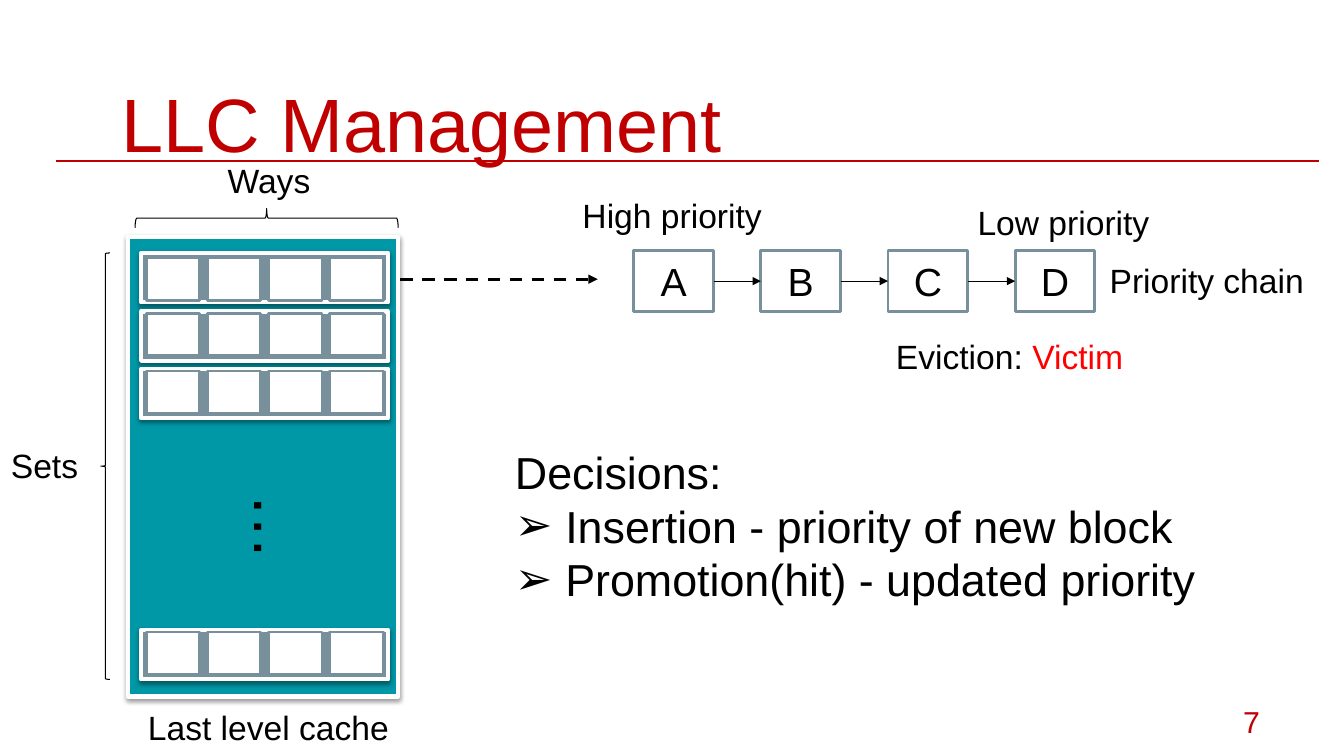
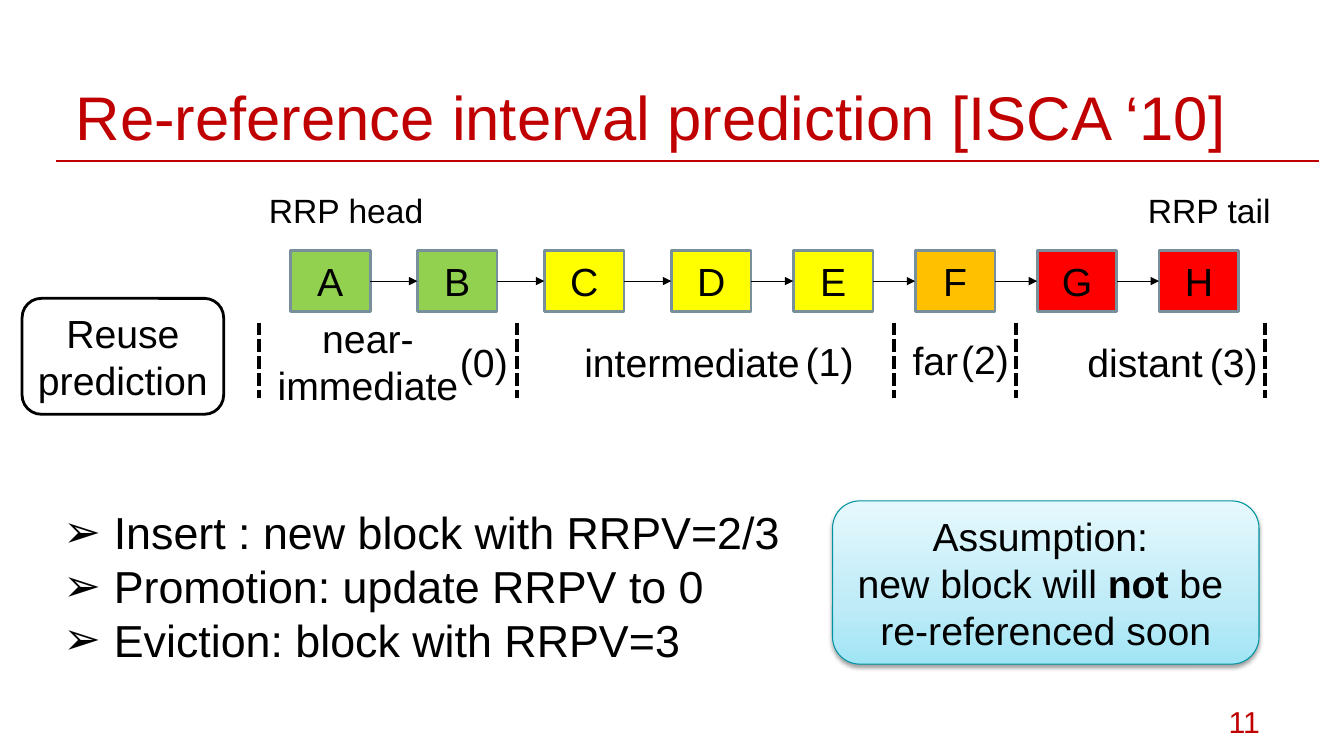
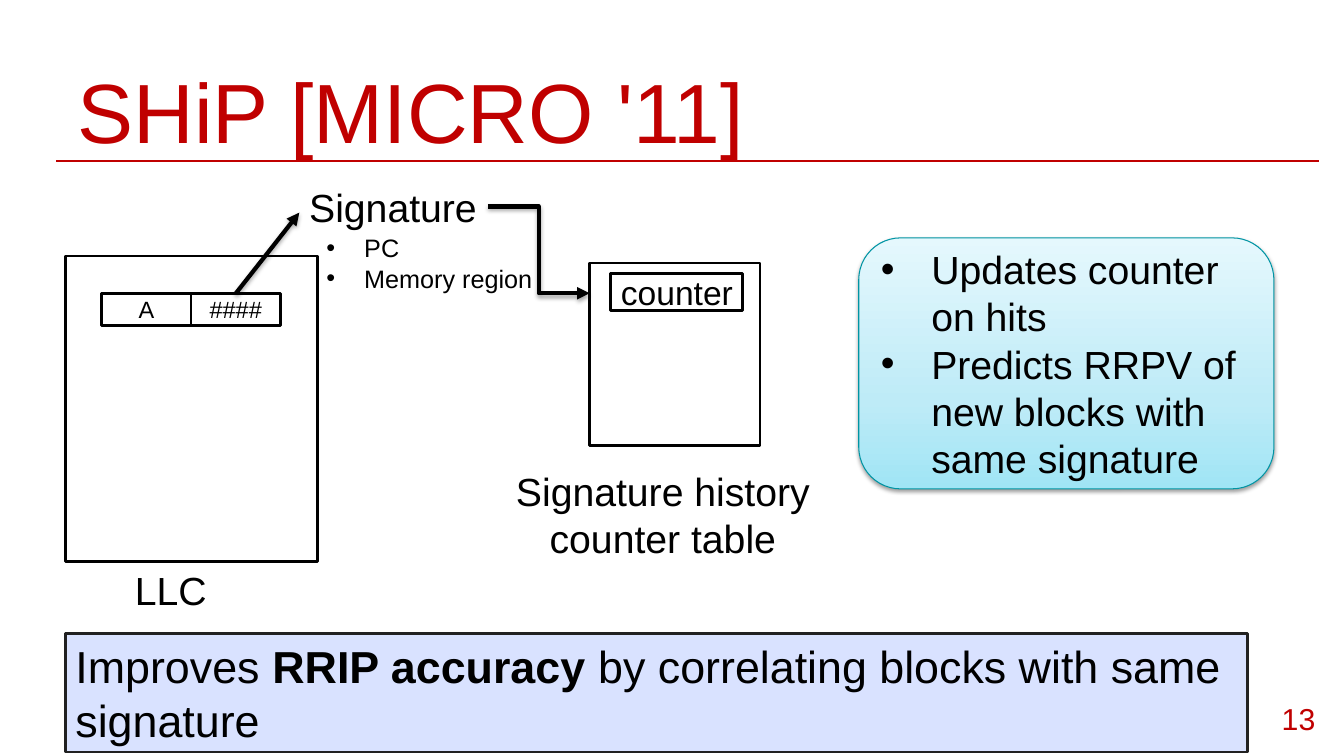
"""Build three slides on last level cache management and re-reference prediction."""
from copy import deepcopy
from dataclasses import dataclass

from lxml.etree import SubElement
from pptx import Presentation
from pptx.dml.color import RGBColor
from pptx.enum.dml import MSO_LINE
from pptx.enum.shapes import MSO_CONNECTOR, MSO_SHAPE
from pptx.enum.text import MSO_ANCHOR, MSO_AUTO_SIZE, PP_ALIGN
from pptx.oxml.ns import qn
from pptx.util import Pt


@dataclass(frozen=True)
class Theme:
    font: str = "Arial"
    accent: str = "C00000"
    black: str = "000000"
    white: str = "FFFFFF"
    slate: str = "78909C"
    teal: str = "0097A7"
    red: str = "FF0000"
    green: str = "92D050"
    yellow: str = "FFFF00"
    orange: str = "FFC000"
    banner: str = "D9E2FF"
    banner_edge: str = "212121"
    panel_edge: str = "0094A3"
    panel_stops: tuple = ((0, "A0E5F5"), (0.35, "BEEBF7"), (1, "E5F8FD"))
    number_size: float = 21.6
    tag_size: float = 16.8
    small_size: float = 18
    label_size: float = 24
    text_size: float = 28
    list_size: float = 32
    dots_size: float = 48
    placeholder_inset: float = 8.64
    thin: float = 0.75
    rule: float = 1.5
    outline: float = 2
    dashed: float = 2.25
    heavy: float = 3


@dataclass(frozen=True)
class Run:
    text: str
    bold: bool = None
    color: str = None


THEME = Theme()


def rgb(color):
    return RGBColor.from_string(color)


def points(*values):
    return [Pt(value) for value in values]


def add_bullet(paragraph, character, indent):
    properties = paragraph._p.get_or_add_pPr()
    properties.set("marL", str(Pt(indent)))
    properties.set("indent", str(-Pt(indent)))
    color = SubElement(properties, qn("a:buClr"))
    SubElement(color, qn("a:srgbClr"), val=THEME.black)
    SubElement(properties, qn("a:buFont"), typeface=THEME.font)
    SubElement(properties, qn("a:buChar"), char=character)


def write_text(shape, paragraphs, size, color=THEME.black, align=PP_ALIGN.LEFT,
               anchor=MSO_ANCHOR.TOP, wrap=False, inset=None, bullet=None,
               indent=36, lead=0):
    frame = shape.text_frame
    frame.word_wrap = wrap
    frame.vertical_anchor = anchor
    if inset is not None:
        frame.margin_left = frame.margin_right = Pt(inset)
        frame.margin_top = frame.margin_bottom = Pt(inset)
    for index, runs in enumerate(paragraphs):
        paragraph = frame.add_paragraph() if index else frame.paragraphs[0]
        paragraph.alignment = align
        if bullet and index >= lead:
            add_bullet(paragraph, bullet, indent)
        paragraph.font.name = THEME.font
        paragraph.font.size = Pt(size)
        paragraph.font.color.rgb = rgb(color)
        for part in [Run(runs)] if isinstance(runs, str) else runs:
            run = paragraph.add_run()
            run.text = part.text
            if part.bold is not None:
                run.font.bold = part.bold
            if part.color:
                run.font.color.rgb = rgb(part.color)


def add_label(slide, area, paragraphs, size=THEME.label_size, **style):
    label = slide.shapes.add_textbox(*points(*area))
    write_text(label, paragraphs, size, **style)
    label.text_frame.auto_size = MSO_AUTO_SIZE.SHAPE_TO_FIT_TEXT
    return label


def cast_shadow(effects, opacity, distance):
    shadow = SubElement(effects, qn("a:outerShdw"), blurRad=str(Pt(3.15)),
                        dist=str(Pt(distance)), dir="5400000", rotWithShape="0")
    color = SubElement(shadow, qn("a:srgbClr"), val=THEME.black)
    SubElement(color, qn("a:alpha"), val=str(opacity * 1000))


def add_box(slide, area, fill=THEME.white, edge=THEME.black, width=THEME.outline,
            kind=MSO_SHAPE.RECTANGLE, shadow=False):
    box = slide.shapes.add_shape(kind, *points(*area))
    if fill:
        box.fill.solid()
        box.fill.fore_color.rgb = rgb(fill)
    else:
        box.fill.background()
    box.line.color.rgb = rgb(edge)
    box.line.width = Pt(width)
    box.shadow.inherit = False
    if shadow:
        cast_shadow(box.element.spPr.find(qn("a:effectLst")), 38, 1.57)
    return box


def add_text_box(slide, area, paragraphs, size=THEME.text_size,
                 align=PP_ALIGN.CENTER, wrap=False, **look):
    box = add_box(slide, area, **look)
    write_text(box, paragraphs, size, align=align, anchor=MSO_ANCHOR.MIDDLE, wrap=wrap)
    return box


def add_panel(slide, area, paragraphs, **style):
    panel = add_box(slide, area, edge=THEME.panel_edge, width=THEME.thin,
                    kind=MSO_SHAPE.ROUNDED_RECTANGLE, shadow=True)
    panel.fill.gradient()
    panel.fill.gradient_angle = 90
    stop_list = panel.element.spPr.find(".//" + qn("a:gsLst"))
    stop_list.append(deepcopy(stop_list[0]))
    for stop, (position, color) in zip(panel.fill.gradient_stops, THEME.panel_stops):
        stop.position = position
        stop.color.rgb = rgb(color)
    write_text(panel, paragraphs, THEME.text_size, anchor=MSO_ANCHOR.MIDDLE,
               wrap=True, **style)


def add_line(slide, ends, color=THEME.black, width=THEME.thin, dash=None,
             arrow=False, shadow=False, kind=MSO_CONNECTOR.STRAIGHT):
    line = slide.shapes.add_connector(kind, *points(*ends))
    line.line.color.rgb = rgb(color)
    line.line.width = Pt(width)
    if dash:
        line.line.dash_style = dash
    properties = line.element.spPr
    if arrow:
        SubElement(properties.find(qn("a:ln")), qn("a:tailEnd"), type="triangle")
    effects = SubElement(properties, qn("a:effectLst"))
    if shadow:
        cast_shadow(effects, 35, 1.81)
    return line


def add_brace(slide, area, rotation=0):
    brace = add_box(slide, area, fill=None, width=THEME.thin, kind=MSO_SHAPE.LEFT_BRACE)
    brace.rotation = rotation


def add_chain(slide, blocks):
    """Draw lettered blocks, given as (letter, left, fill), joined by arrows."""
    previous = None
    for letter, left, fill in blocks:
        block = add_text_box(slide, (left, 179.2, 57, 43.2), [letter],
                             fill=fill, edge=THEME.slate)
        if previous is not None:
            arrow = add_line(slide, (0, 0, 0, 0), arrow=True)
            arrow.begin_connect(previous, 3)
            arrow.end_connect(block, 1)
        previous = block


def prepare_layout(presentation):
    layout = presentation.slide_layouts.get_by_name("Title Only")
    for placeholder in list(layout.placeholders):
        if placeholder.placeholder_format.idx:
            placeholder.element.getparent().remove(placeholder.element)
    return layout


def add_slide(presentation, layout, title, title_area, size, number,
              number_corner=(847.4, 494.6)):
    slide = presentation.slides.add_slide(layout)
    heading = slide.shapes.title
    heading.left, heading.top, heading.width, heading.height = points(*title_area)
    write_text(heading, [title], size, color=THEME.accent, wrap=True,
               inset=THEME.placeholder_inset)
    heading.text_frame.auto_size = MSO_AUTO_SIZE.NONE
    page = slide.shapes.add_textbox(*points(*number_corner, 61.2, 41))
    write_text(page, [str(number)], THEME.number_size, color=THEME.accent,
               align=PP_ALIGN.RIGHT, anchor=MSO_ANCHOR.MIDDLE, wrap=True,
               inset=THEME.placeholder_inset)
    return slide


def add_title_rule(slide, layout):
    rule = add_line(slide, (40.3, 115.2, 942.5, 115.2), THEME.accent, THEME.rule)
    layout.shapes.element.append(rule.element)


def add_cache(slide):
    add_box(slide, (91.4, 169.2, 193, 328.3), THEME.teal, THEME.white,
            THEME.heavy, shadow=True)
    for top, cell_top in ((180.7, 184.3), (222.5, 223.9), (263.5, 265), (450, 451.4)):
        add_box(slide, (100.8, top, 176.4, 35.3), THEME.slate, THEME.white,
                THEME.heavy, shadow=True)
        for way in range(4):
            add_box(slide, (104.4 + 43.7 * way, cell_top, 38.2, 30.2), edge=THEME.slate)
    add_brace(slide, (72, 180.7, 6.5, 304.6))
    add_brace(slide, (183.6, 61.9, 13.7, 187.9), rotation=90)
    dots = add_label(slide, (180.7, 332.6, 39.6, 65.5), ["…"], THEME.dots_size, wrap=True)
    dots.rotation = 90


def build_management(presentation, layout):
    slide = add_slide(presentation, layout, "LLC Management",
                      (77.8, 46.1, 805, 60.5), 54, 7)
    add_title_rule(slide, layout)
    add_cache(slide)
    for area, text in (
        ((0.7, 314.6, 63.4, 36), "Sets"),
        ((155.5, 110.9, 74.9, 36), "Ways"),
        ((98.6, 501.1, 188.6, 36), "Last level cache"),
        ((691.2, 140.4, 139, 36), "Low priority"),
        ((409, 135.4, 144, 36), "High priority"),
        ((785.5, 182.2, 154.8, 36), "Priority chain"),
        ((632.9, 236.2, 178.6, 36), (Run("Eviction:"), Run(" Victim", color=THEME.red))),
    ):
        add_label(slide, area, [text])
    add_line(slide, (285.8, 199.4, 427, 199.4), width=THEME.dashed,
             dash=MSO_LINE.DASH, arrow=True)
    add_chain(slide, [(letter, 452.7 + 90.8 * index, THEME.white)
                      for index, letter in enumerate("ABCD")])
    add_label(slide, (360.7, 313.9, 547.9, 123.8),
              ["Decisions:", "Insertion - priority of new block",
               "Promotion(hit) - updated priority"],
              THEME.list_size, wrap=True, bullet="➢", lead=1)


def build_prediction(presentation, layout):
    slide = add_slide(presentation, layout, "Re-reference interval prediction [ISCA ‘10]",
                      (45.4, 47.5, 913, 60.5), 44, 11)
    add_label(slide, (185, 131.8, 126.7, 36), ["RRP head"])
    add_label(slide, (812.9, 131.8, 103.7, 36), ["RRP tail"])
    fills = [THEME.green] * 2 + [THEME.yellow] * 3 + [THEME.orange] + [THEME.red] * 2
    lefts = [207.4 + 90.7 * index - 3.6 * max(0, index - 3) for index in range(8)]
    add_chain(slide, zip("ABCDEFGH", lefts, fills))
    for left in (185, 369.4, 638.6, 725.8, 903.6):
        add_line(slide, (left, 230.4, left, 284.4), width=THEME.heavy,
                 dash=MSO_LINE.SQUARE_DOT)
    for area, lines in (
        ((190.1, 221, 145.4, 74.9), ["near-", "immediate"]),
        ((409, 238.3, 170.6, 41), ["intermediate"]),
        ((644.4, 236.9, 47.5, 41), ["far"]),
        ((769, 238.3, 97.9, 41), ["distant"]),
        ((321.1, 238.3, 49, 41), ["(0)"]),
        ((568.1, 237.6, 49, 41), ["(1)"]),
        ((679, 236.2, 49, 41), ["(2)"]),
        ((856.8, 238.3, 49, 41), ["(3)"]),
    ):
        add_label(slide, area, lines, THEME.text_size, align=PP_ALIGN.CENTER)
    add_text_box(slide, (15.8, 213.1, 144, 82.8), ["Reuse", "prediction"],
                 kind=MSO_SHAPE.ROUNDED_RECTANGLE)
    add_label(slide, (38.2, 357.1, 550.8, 123.8),
              ["Insert : new block with RRPV=2/3", "Promotion: update RRPV to 0",
               "Eviction: block with RRPV=3"],
              THEME.list_size, wrap=True, bullet="➢")
    add_panel(slide, (594.7, 357.8, 304.6, 116.6),
              ["Assumption: ",
               (Run("new block will "), Run("not", bold=True), Run(" be ")),
               "re-referenced soon"], align=PP_ALIGN.CENTER)


def build_signature(presentation, layout):
    slide = add_slide(presentation, layout, "SHiP [MICRO '11]",
                      (46.8, 33.8, 913, 60.5), 60, 13, (887, 492.5))
    add_box(slide, (46.8, 182.9, 180, 218.2))
    for left, tag in ((72.7, "A"), (136.4, "####")):
        add_text_box(slide, (left, 209.5, 64, 23), [tag], THEME.tag_size)
    add_line(slide, (168.5, 209.5, 213.8, 151.9), width=THEME.heavy,
             arrow=True, shadow=True)
    add_label(slide, (213.8, 127.4, 158.4, 41), ["Signature"], THEME.text_size, wrap=True)
    add_label(slide, (89.3, 401, 158.4, 41), ["LLC"], THEME.text_size, wrap=True)
    add_box(slide, (421.2, 187.9, 121.7, 130.3))
    add_label(slide, (347.8, 330.5, 251.3, 74.9), ["Signature history counter table"],
              THEME.text_size, align=PP_ALIGN.CENTER, wrap=True)
    add_line(slide, (348.5, 147.6, 421.2, 209.5), width=THEME.heavy, arrow=True,
             shadow=True, kind=MSO_CONNECTOR.ELBOW)
    add_text_box(slide, (436.3, 195.1, 94.3, 26.6), ["counter"], THEME.label_size)
    add_panel(slide, (613.4, 169.9, 296.6, 179.3),
              ["Updates counter on hits", "Predicts RRPV of new blocks with same signature"],
              bullet="•")
    add_text_box(slide, (46.8, 452.2, 844.6, 85),
                 [(Run("Improves "), Run("RRIP accuracy ", bold=True),
                   Run("by correlating blocks with same signature"))],
                 THEME.list_size, align=PP_ALIGN.LEFT, wrap=True,
                 fill=THEME.banner, edge=THEME.banner_edge)
    add_label(slide, (226.1, 162.7, 180, 51.1), ["PC", "Memory region"],
              THEME.small_size, wrap=True, bullet="•", indent=27)


def main():
    presentation = Presentation()
    presentation.slide_width, presentation.slide_height = points(960, 540)
    layout = prepare_layout(presentation)
    build_management(presentation, layout)
    build_prediction(presentation, layout)
    build_signature(presentation, layout)
    presentation.save("out.pptx")


if __name__ == "__main__":
    main()
